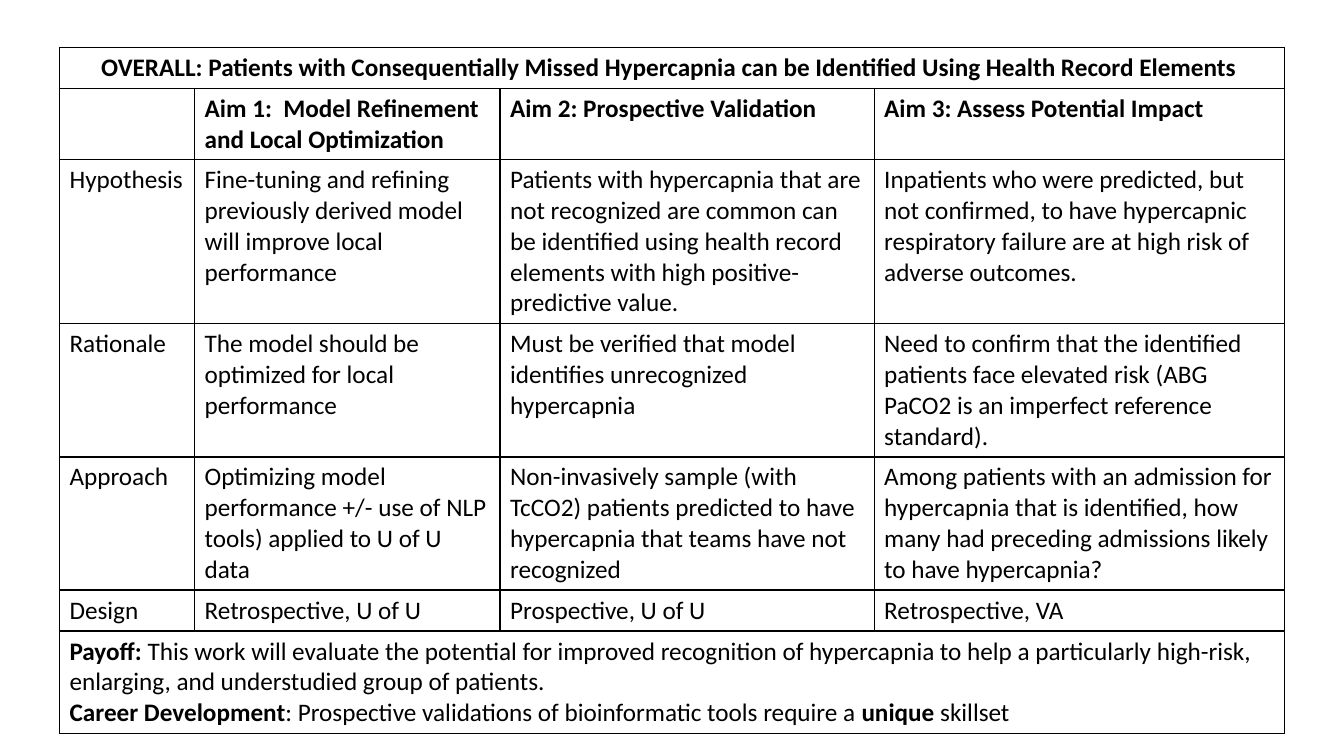
from pptx import Presentation
from pptx import util as u
from pptx.dml.color import RGBColor
from pptx.enum import text
from pptx.oxml import parse_xml
from pptx.oxml.ns import nsdecls

COLORS = {"ink": "000000", "paper": "FFFFFF"}
FONT, SIZE = "Calibri", 18
LEFT, TOP = 0.59, 0.47
COLS = [1.34, 3.03, 3.71, 4.07]
LINES = [1, 2, 5, 4, 4, 1, 3]
PAD, STEP = 0.1, 0.305

TITLE = ("OVERALL: Patients with Consequentially Missed Hypercapnia "
         "can be Identified Using Health Record Elements ")
HEADS = ["", "Aim 1:  Model Refinement and Local Optimization",
         "Aim 2: Prospective Validation", "Aim 3: Assess Potential Impact"]
ROWS = [
    ["Hypothesis",
     "Fine-tuning and refining previously derived model will improve local performance",
     "Patients with hypercapnia that are not recognized are common can be identified "
     "using health record elements with high positive-predictive value.",
     "Inpatients who were predicted, but not confirmed, to have hypercapnic "
     "respiratory failure are at high risk of adverse outcomes."],
    ["Rationale",
     "The model should be optimized for local performance",
     "Must be verified that model identifies unrecognized hypercapnia",
     "Need to confirm that the identified patients face elevated risk "
     "(ABG PaCO2 is an imperfect reference standard)."],
    ["Approach",
     "Optimizing model performance +/- use of NLP tools) applied to U of U data",
     "Non-invasively sample (with TcCO2) patients predicted to have hypercapnia "
     "that teams have not recognized",
     "Among patients with an admission for hypercapnia that is identified, "
     "how many had preceding admissions likely to have hypercapnia?"],
    ["Design", "Retrospective, U of U", "Prospective, U of U", "Retrospective, VA"],
]
CLOSE = [
    [("Payoff: ", True),
     ("This work will evaluate the potential for improved recognition of hypercapnia "
      "to help a particularly high-risk, enlarging, and understudied group of patients.",
      False)],
    [("Career Development", True),
     (": Prospective validations of bioinformatic tools require a ", False),
     ("unique", True), (" skillset", False)],
]


def style(cell):
    """Give a cell its fill, borders and font."""
    cell.fill.solid()
    cell.fill.fore_color.rgb = RGBColor.from_string(COLORS["paper"])
    props = cell._tc.get_or_add_tcPr()
    for i, side in enumerate("LRTB"):
        props.insert(i, parse_xml(
            f'<a:ln{side} {nsdecls("a")} w="12700"><a:solidFill>'
            f'<a:srgbClr val="{COLORS["ink"]}"/></a:solidFill></a:ln{side}>'))
    for para in cell.text_frame.paragraphs:
        font = para.font
        font.name, font.size = FONT, u.Pt(SIZE)
        font.color.rgb = RGBColor.from_string(COLORS["ink"])


def main():
    """Build the table of aims and save it."""
    deck = Presentation()
    deck.slide_width, deck.slide_height = u.Inches(13.33), u.Inches(7.5)
    slide = deck.slides.add_slide(deck.slide_layouts[6])
    highs = [PAD + STEP * n for n in LINES]
    box = [u.Inches(v) for v in (LEFT, TOP, sum(COLS), sum(highs))]
    table = slide.shapes.add_table(len(highs), len(COLS), *box).table
    table.first_row = table.horz_banding = False
    for col, wide in zip(table.columns, COLS):
        col.width = u.Inches(wide)
    for row, high in zip(table.rows, highs):
        row.height = u.Inches(high)

    last, end = len(highs) - 1, len(COLS) - 1
    for r in (0, last):
        table.cell(r, 0).merge(table.cell(r, end))
    table.cell(0, 0).text = TITLE
    for r, row in enumerate([HEADS] + ROWS, 1):
        for c, words in enumerate(row):
            table.cell(r, c).text = words
    frame = table.cell(last, 0).text_frame
    for i, runs in enumerate(CLOSE):
        para = frame.add_paragraph() if i else frame.paragraphs[0]
        for words, bold in runs:
            run = para.add_run()
            run.text, run.font.bold = words, bold

    for cell in table.iter_cells():
        style(cell)
    for r in (0, 1):
        for cell in table.rows[r].cells:
            cell.text_frame.paragraphs[0].font.bold = True
    table.cell(0, 0).text_frame.paragraphs[0].alignment = text.PP_ALIGN.CENTER
    deck.save("out.pptx")


if __name__ == "__main__":
    main()
